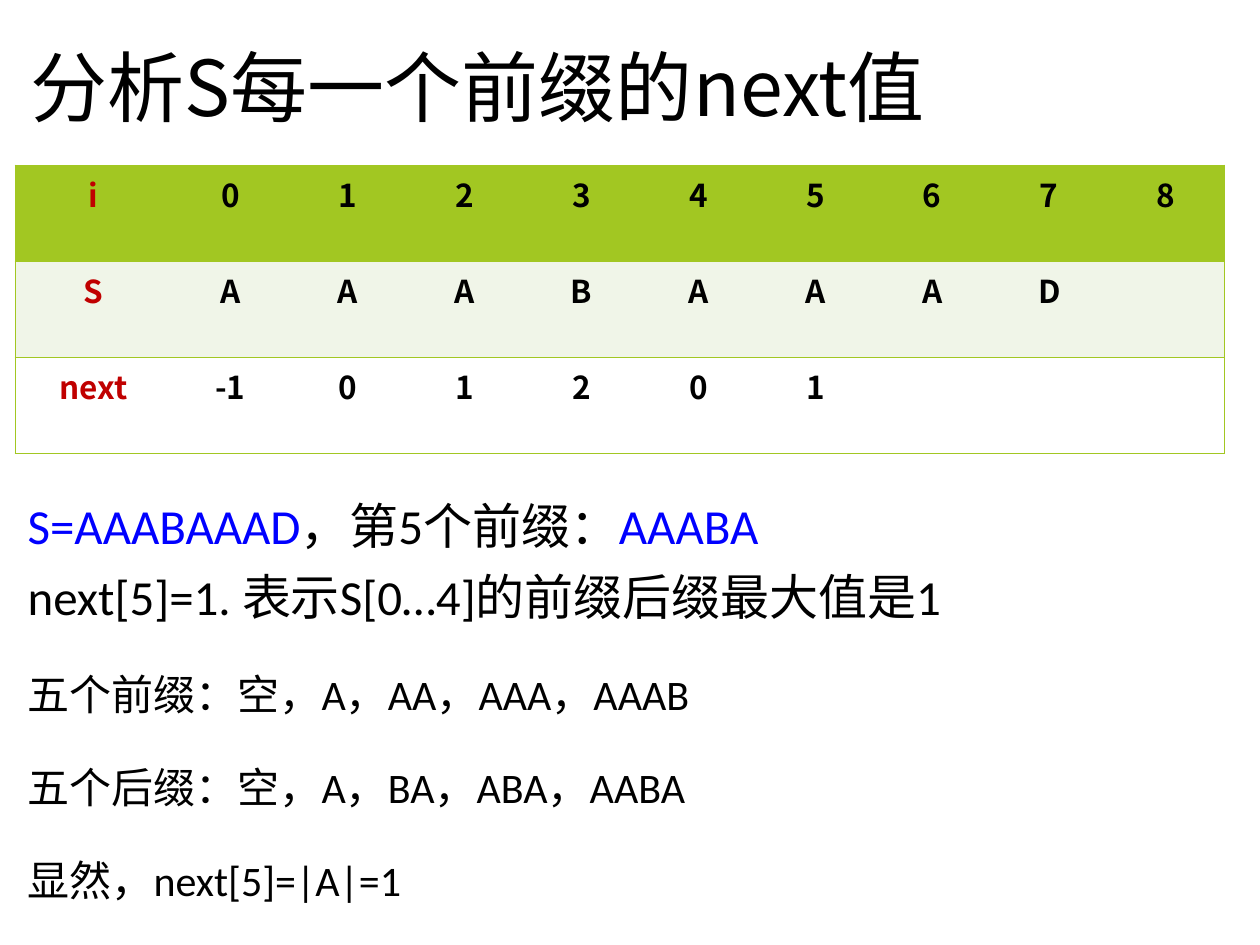
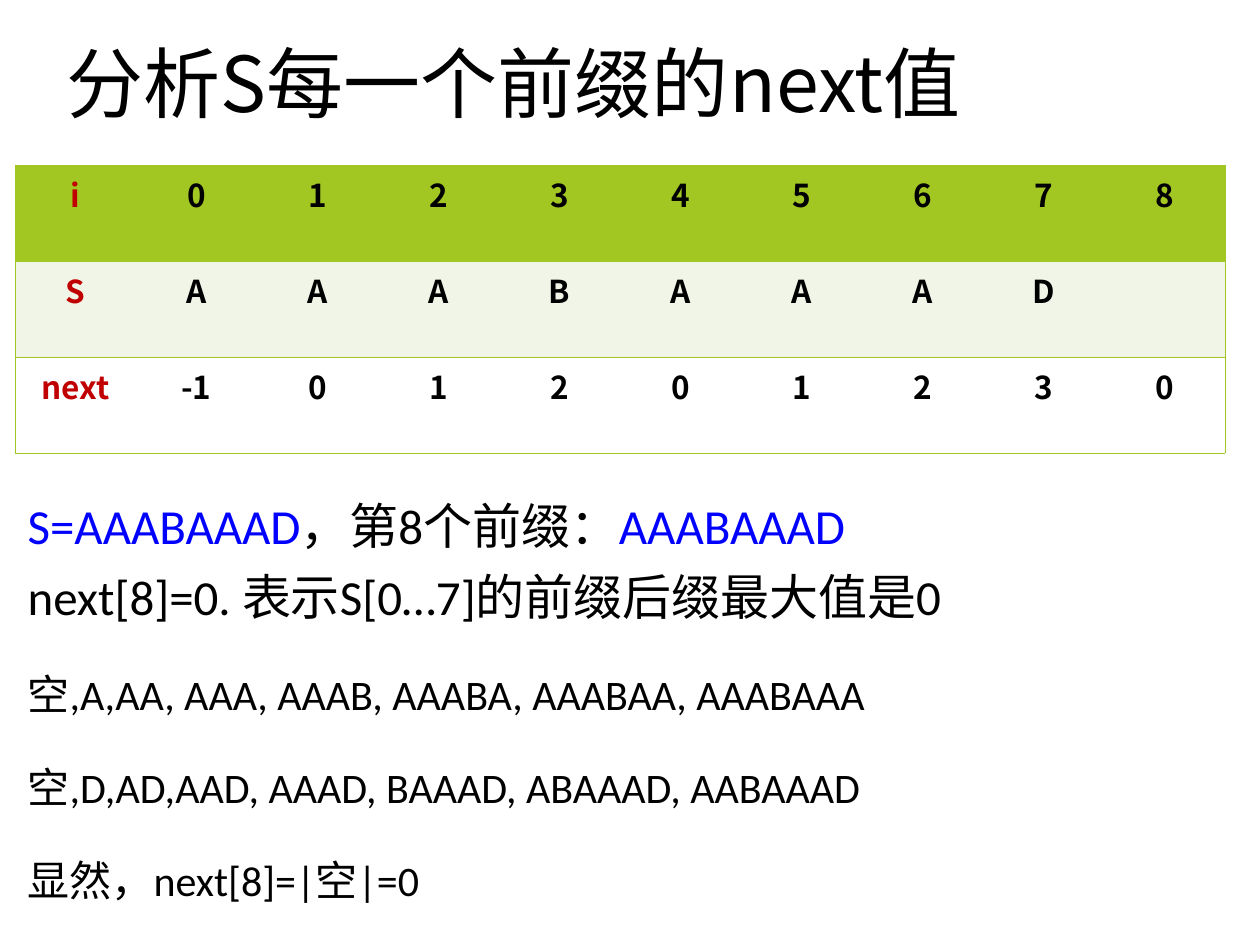
from dataclasses import dataclass

from lxml.etree import SubElement
from pptx import Presentation
from pptx.dml.color import RGBColor
from pptx.enum.text import MSO_ANCHOR, MSO_AUTO_SIZE, PP_ALIGN
from pptx.oxml.ns import qn
from pptx.util import Pt


@dataclass(frozen=True)
class Theme:
    ink: str = "000000"
    blue: str = "0000FF"
    red: str = "C00000"
    green: str = "A2C722"
    pale: str = "F0F5E8"
    white: str = "FFFFFF"
    title_font: str = "Noto Sans CJK SC"
    body_font: str = "Calibri"
    title_size: int = 44
    lead_size: int = 28
    detail_size: int = 24
    cell_size: int = 18
    border_width: float = 0.45


theme = Theme()
EMU_PER_PX = 914400 / 126
NO_GRID_STYLE = "{2D5ABB26-0587-4C30-8999-92F81FD0307C}"


def px(length):
    return round(length * EMU_PER_PX)


def add_span(para, text, size, color=theme.ink, font=theme.body_font, bold=False):
    span = para.add_run()
    span.text = text
    span.font.size = Pt(size)
    span.font.bold = bold
    span.font.name = font
    span.font.color.rgb = RGBColor.from_string(color)
    SubElement(span.font._element, qn("a:ea"), typeface=font)


# What the slides share
TITLE = "分析S每一个前缀的next值"
PATTERN = "AAABAAAD"
NEXT_VALUES = [-1, 0, 1, 2, 0, 1, 2, 3, 0]
ROW_FILLS = [theme.green, theme.pale, theme.white]
ROW_HEIGHT = 96

# What differs from slide to slide
steps = [
    {
        "length": 5,
        "title_box": (18, 0, 1086, 183),
        "columns": [157] + [117] * 9,
        "details": [
            "五个前缀：空，A，AA，AAA，AAAB",
            "五个后缀：空，A，BA，ABA，AABA",
            "显然，next[5]=|A|=1",
        ],
    },
    {
        "length": 8,
        "title_box": (54, -4, 1087, 183),
        "columns": [121] * 10,
        "details": [
            "空,A,AA, AAA, AAAB, AAABA, AAABAA, AAABAAA",
            "空,D,AD,AAD, AAAD, BAAAD, ABAAAD, AABAAAD",
            "显然，next[8]=|空|=0",
        ],
    },
]

deck = Presentation()
deck.slide_width, deck.slide_height = px(1260), px(945)

for step in steps:
    page = deck.slides.add_slide(deck.slide_layouts[1])
    length = step["length"]
    value = NEXT_VALUES[length]

    # Placeholders
    title, body = page.shapes.title, page.placeholders[1]
    for box, place in ((title, step["title_box"]), (body, (15, 496, 1211, 449))):
        box.left, box.top, box.width, box.height = map(px, place)
        box.text_frame.auto_size = MSO_AUTO_SIZE.NONE
        box.text_frame.word_wrap = True

    # Title
    title.text_frame.vertical_anchor = MSO_ANCHOR.MIDDLE
    para = title.text_frame.paragraphs[0]
    para.alignment = PP_ALIGN.LEFT
    para.line_spacing = 0.9
    add_span(para, TITLE, theme.title_size, font=theme.title_font)

    # Explanation: two lead lines, then the details
    lines = [
        (theme.lead_size, 0.9, [(f"S={PATTERN}", theme.blue),
                                (f"，第{length}个前缀：", theme.ink),
                                (PATTERN[:length], theme.blue)]),
        (theme.lead_size, 0.9, [(f"next[{length}]={value}. 表示S[0…{length - 1}]"
                                 f"的前缀后缀最大值是{value}", theme.ink)]),
    ]
    lines += [(theme.detail_size, 1.5, [(text, theme.ink)]) for text in step["details"]]
    for index, (size, spacing, parts) in enumerate(lines):
        para = body.text_frame.add_paragraph() if index else body.text_frame.paragraphs[0]
        para.line_spacing = spacing
        para.space_before = Pt(10 if index else 0)
        properties = para._p.get_or_add_pPr()
        properties.set("marL", "0")
        properties.set("indent", "0")
        SubElement(properties, qn("a:buNone"))
        for text, color in parts:
            add_span(para, text, size, color=color)

    # Table of next values, filled in up to the current prefix
    rows = [
        ["i", *range(9)],
        ["S", *PATTERN, ""],
        ["next", *NEXT_VALUES[:length + 1]],
    ]
    columns = step["columns"]
    table = page.shapes.add_table(len(rows), len(columns), px(15), px(165),
                                  px(sum(columns)), px(ROW_HEIGHT * len(rows))).table
    table.first_row = table.horz_banding = False
    table._tbl.tblPr.find(qn("a:tableStyleId")).text = NO_GRID_STYLE
    for column, width in zip(table.columns, columns):
        column.width = px(width)
    for row_index, (values, fill) in enumerate(zip(rows, ROW_FILLS)):
        table.rows[row_index].height = px(ROW_HEIGHT)
        for column_index in range(len(columns)):
            cell = table.cell(row_index, column_index)
            sides = ["lnT", "lnB"]
            if column_index == 0:
                sides.insert(0, "lnL")
            elif column_index == len(columns) - 1:
                sides.insert(0, "lnR")
            for side in sides:
                border = SubElement(cell._tc.get_or_add_tcPr(), qn(f"a:{side}"),
                                    w=str(Pt(theme.border_width)))
                SubElement(SubElement(border, qn("a:solidFill")),
                           qn("a:srgbClr"), val=theme.green)
            cell.fill.solid()
            cell.fill.fore_color.rgb = RGBColor.from_string(fill)
            if column_index < len(values) and values[column_index] != "":
                para = cell.text_frame.paragraphs[0]
                para.alignment = PP_ALIGN.CENTER
                add_span(para, str(values[column_index]), theme.cell_size,
                         color=theme.ink if column_index else theme.red,
                         font=theme.title_font, bold=True)

deck.save("out.pptx")
